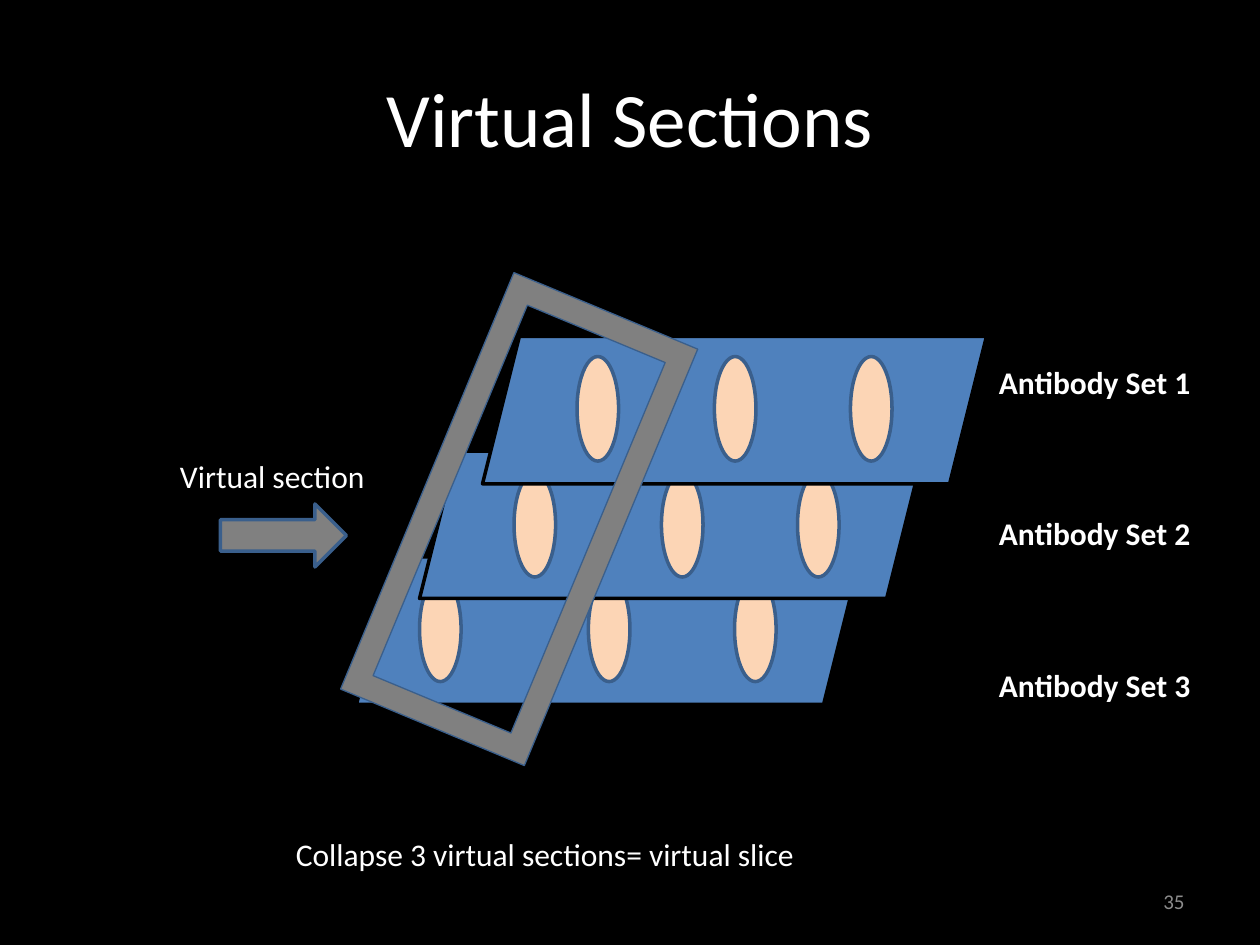
from pptx import Presentation
from pptx.dml.color import RGBColor
from pptx.enum import shapes, text
from pptx.util import Inches, Pt

COLORS = {
    "background": "000000",
    "text": "FFFFFF",
    "number": "8C8C8C",
    "section": "4F81BD",
    "tissue": "FCD5B5",
    "outline": "3A5F8C",
    "cut": "808080",
}
SHAPE = shapes.MSO_SHAPE
ALIGN = text.PP_ALIGN


class SlideBuilder:
    """Holds the style and the current slide."""

    font = "Calibri"

    def __init__(self, prs):
        self.slide = prs.slides.add_slide(prs.slide_layouts[5])
        background = self.slide.background.fill
        background.solid()
        background.fore_color.rgb = self.color("background")

    def color(self, name):
        return RGBColor.from_string(COLORS[name])

    def format(self, frame, size, color="text", bold=False, align=ALIGN.LEFT):
        for paragraph in frame.paragraphs:
            paragraph.alignment = align
            for run in paragraph.runs:
                run.font.name = self.font
                run.font.size = Pt(size)
                run.font.bold = bold
                run.font.color.rgb = self.color(color)

    def title(self, words, left, top, width, height):
        title = self.slide.shapes.title
        title.left, title.top = Inches(left), Inches(top)
        title.width, title.height = Inches(width), Inches(height)
        title.text_frame.text = words
        title.text_frame.vertical_anchor = text.MSO_ANCHOR.MIDDLE
        self.format(title.text_frame, 44, align=ALIGN.CENTER)

    def label(self, words, left, top, width, height, size=18, wrap=False, **style):
        box = self.slide.shapes.add_textbox(
            Inches(left), Inches(top), Inches(width), Inches(height))
        frame = box.text_frame
        frame.word_wrap = wrap
        frame.text = words
        self.format(frame, size, **style)
        return frame

    def shape(self, kind, left, top, width, height, fill, line="outline",
              weight=2, rotation=0):
        shape = self.slide.shapes.add_shape(
            kind, Inches(left), Inches(top), Inches(width), Inches(height))
        shape.shadow.inherit = False
        shape.fill.solid()
        shape.fill.fore_color.rgb = self.color(fill)
        shape.line.color.rgb = self.color(line)
        shape.line.width = Pt(weight)
        shape.rotation = rotation

    def section(self, left, top, tissue_top, tissue_lefts):
        self.shape(SHAPE.PARALLELOGRAM, left, top, 4, 1.17, "section", "background")
        for tissue_left in tissue_lefts:
            self.shape(SHAPE.OVAL, tissue_left, tissue_top, 0.33, 0.83, "tissue")


def main():
    prs = Presentation()
    prs.slide_width, prs.slide_height = Inches(10), Inches(7.5)
    builder = SlideBuilder(prs)

    # Title and slide number
    builder.title("Virtual Sections", 0.5, 0.3, 9, 1.25)
    number = builder.label("35", 7.17, 6.95, 2.33, 0.4, size=12, wrap=True,
                           color="number", align=ALIGN.RIGHT)
    number.vertical_anchor = text.MSO_ANCHOR.MIDDLE

    # Stacked sections, bottom one first
    builder.section(2.83, 4.42, 4.58, (3.33, 4.67, 5.83))
    builder.section(3.33, 3.58, 3.75, (4.08, 5.25, 6.33))
    builder.section(3.83, 2.67, 2.83, (4.58, 5.67, 6.75))

    # Antibody sets, spaced to match the sections
    antibodies = builder.label(
        "\n".join(f"Antibody Set {n}" for n in (1, 2, 3)),
        7.83, 2.83, 1.74, 2.83, bold=True)
    for antibody in antibodies.paragraphs[1:]:
        antibody.space_before = Pt(65)

    # Virtual section cutting through the stack
    builder.shape(SHAPE.FRAME, 3.33, 2.33, 1.58, 3.58, "cut", weight=0.75, rotation=22.6)
    builder.label("Virtual section", 1.33, 3.58, 1.69, 0.4)
    builder.shape(SHAPE.RIGHT_ARROW, 1.75, 4, 1, 0.5, "cut")

    # Conclusion
    builder.label("Collapse 3 virtual sections= virtual slice", 2.25, 6.58, 4.26, 0.4)

    prs.save("out.pptx")


if __name__ == "__main__":
    main()
